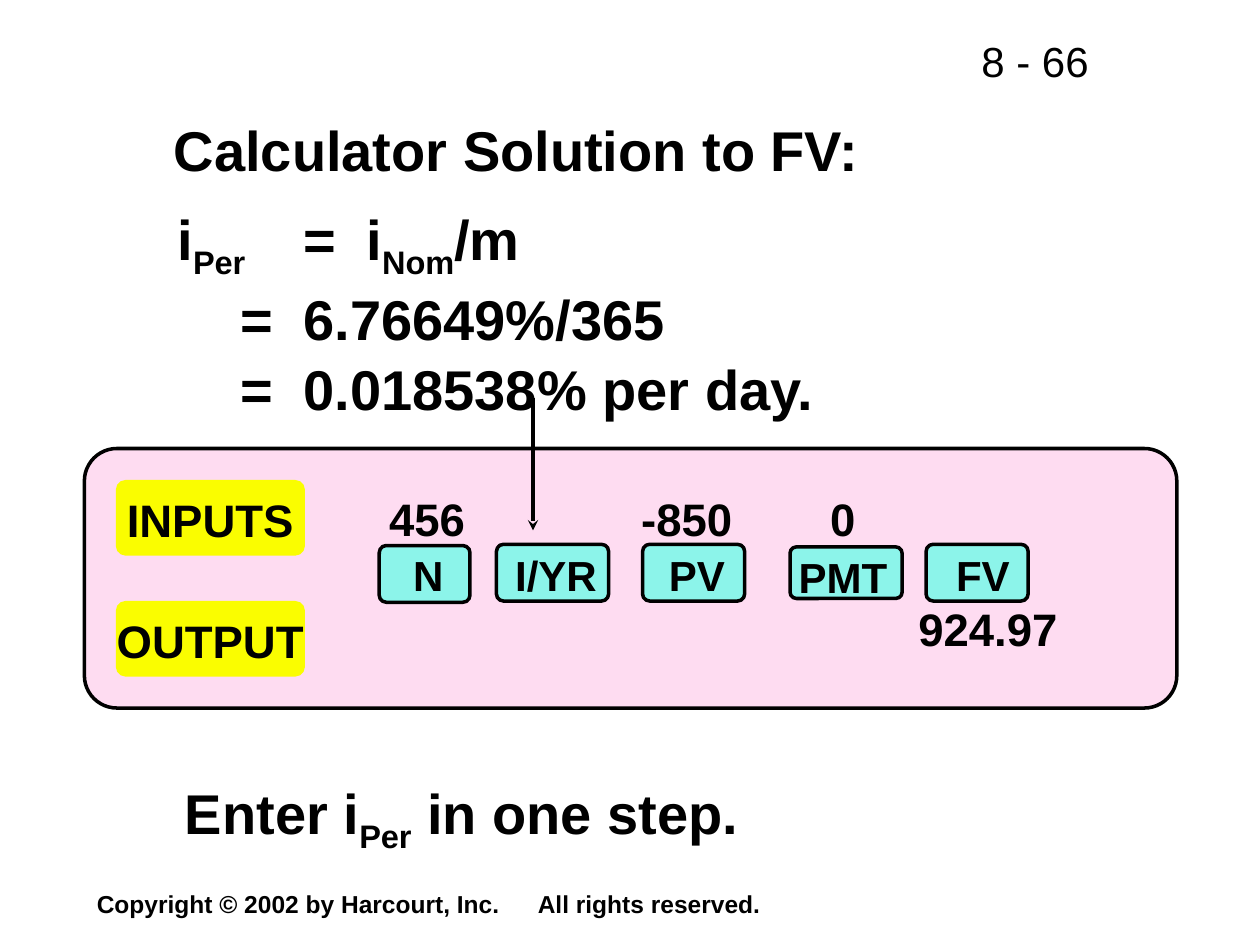
from typing import NamedTuple

from lxml import etree
from pptx import Presentation
from pptx.dml.color import RGBColor
from pptx.enum.shapes import MSO_CONNECTOR, MSO_SHAPE
from pptx.enum.text import MSO_ANCHOR, MSO_AUTO_SIZE, PP_ALIGN
from pptx.oxml.ns import qn
from pptx.util import Inches, Pt

ROUNDED = MSO_SHAPE.ROUNDED_RECTANGLE
STRAIGHT = MSO_CONNECTOR.STRAIGHT
TOP, MIDDLE = MSO_ANCHOR.TOP, MSO_ANCHOR.MIDDLE
LEFT, CENTER = PP_ALIGN.LEFT, PP_ALIGN.CENTER
NO_FIT = MSO_AUTO_SIZE.NONE

COLORS = {"ink": "000000", "panel": "FEDCF1", "tag": "FAFD00", "key": "8CF4EA"}
FRAME_FORMAT = {
    "auto_size": NO_FIT,
    "margin_left": Inches(0.1),
    "margin_right": Inches(0.1),
    "margin_top": Inches(0.05),
    "margin_bottom": Inches(0.05),
}
PARA_FORMAT = {"space_before": Pt(0), "space_after": Pt(0), "line_spacing": 1.05}
SUBSCRIPT = "-25000"


class Area(NamedTuple):
    left: float
    top: float
    width: float
    height: float


class Span(NamedTuple):
    text: str
    lowered: bool = False


class Style(NamedTuple):
    size: int
    bold: bool = True
    align: PP_ALIGN = LEFT
    anchor: MSO_ANCHOR = TOP
    wrap: bool = False
    tabs: tuple[float, ...] = ()


class Label(NamedTuple):
    area: Area
    lines: list[list[Span]]
    style: Style


class Key(NamedTuple):
    name: str
    box: Area
    label: Area


def color(name: str) -> RGBColor:
    return RGBColor.from_string(COLORS[name])


def apply_format(target, values: dict) -> None:
    for name, value in values.items():
        setattr(target, name, value)


def place(shape, area: Area) -> None:
    for name, value in area._asdict().items():
        setattr(shape, name, Inches(value))


def write(shape, lines: list[list[Span]], style: Style) -> None:
    frame = shape.text_frame
    apply_format(frame, FRAME_FORMAT)
    apply_format(frame, {"word_wrap": style.wrap, "vertical_anchor": style.anchor})
    for index, spans in enumerate(lines):
        para = frame.paragraphs[0] if index == 0 else frame.add_paragraph()
        properties = para._p.get_or_add_pPr()
        properties.set("marL", "0")
        properties.set("indent", "0")
        etree.SubElement(properties, qn("a:buNone"))
        if style.tabs:
            tab_list = etree.SubElement(properties, qn("a:tabLst"))
            for position in style.tabs:
                etree.SubElement(tab_list, qn("a:tab"), pos=str(Inches(position)), algn="l")
        apply_format(para, PARA_FORMAT)
        para.alignment = style.align
        for part in spans:
            span = para.add_run()
            span.text = part.text
            apply_format(span.font, {"name": "Arial", "size": Pt(style.size), "bold": style.bold})
            span.font.color.rgb = color("ink")
            if part.lowered:
                span._r.get_or_add_rPr().set("baseline", SUBSCRIPT)


def add_label(page, label: Label) -> None:
    box = page.shapes.add_textbox(*map(Inches, label.area))
    write(box, label.lines, label.style)


def add_rounded(page, area: Area, fill: str, outlined: bool = True):
    box = page.shapes.add_shape(ROUNDED, *map(Inches, area))
    box.adjustments[0] = 0.125
    box.shadow.inherit = False
    box.fill.solid()
    box.fill.fore_color.rgb = color(fill)
    if outlined:
        box.line.color.rgb = color("ink")
        box.line.width = Pt(2)
    else:
        box.line.fill.background()
    return box


def add_arrow(page, x: float, start: float, end: float) -> None:
    arrow = page.shapes.add_connector(STRAIGHT, Inches(x), Inches(start), Inches(x), Inches(end))
    arrow.line.color.rgb = color("ink")
    arrow.line.width = Pt(2)
    etree.SubElement(arrow.line._get_or_add_ln(), qn("a:tailEnd"), type="stealth")
    etree.SubElement(arrow._element.spPr, qn("a:effectLst"))


HEADING = Style(32, wrap=True)
EQUATION = Style(32, wrap=True, tabs=(0.81, 1.32))
VALUE = Style(26)
KEY_NAME = Style(24)
TAG = Style(26, align=CENTER, anchor=MIDDLE)

RATE_LINES = [
    [Span("i"), Span("Per", True), Span("\t=\ti"), Span("Nom", True), Span("/m")],
    [Span("\t=\t6.76649%/365")],
    [Span("\t=\t0.018538% per day.")],
]
TAGS = {"INPUTS": 3.81, "OUTPUT": 4.77}
KEYS = [
    Key("N", Area(3.01, 4.33, 0.72, 0.45), Area(3.18, 4.29, 0.44, 0.5)),
    Key("I/YR", Area(3.94, 4.32, 0.89, 0.45), Area(3.99, 4.29, 0.85, 0.5)),
    Key("PV", Area(5.1, 4.32, 0.81, 0.45), Area(5.21, 4.29, 0.65, 0.5)),
    Key("PMT", Area(6.27, 4.34, 0.89, 0.41), Area(6.24, 4.31, 0.91, 0.5)),
    Key("FV", Area(7.35, 4.32, 0.81, 0.45), Area(7.49, 4.29, 0.63, 0.5)),
]
VALUES = {
    "456": Area(2.99, 3.83, 0.8, 0.53),
    "-850": Area(4.99, 3.83, 0.92, 0.53),
    "0": Area(6.49, 3.83, 0.4, 0.53),
    "924.97": Area(7.19, 4.7, 1.3, 0.53),
}
NOTES = [
    Label(Area(7.69, 0.21, 2.2, 0.5), [[Span("8 - 66")]], Style(24, bold=False, wrap=True)),
    Label(
        Area(1.37, 6.1, 4.8, 0.71),
        [[Span("Enter i"), Span("Per", True), Span(" in one step.")]],
        HEADING,
    ),
    Label(
        Area(0.67, 7, 8.67, 0.33),
        [[Span("Copyright © 2002 by Harcourt, Inc.\tAll rights reserved.")]],
        Style(14, anchor=MIDDLE, wrap=True, tabs=(4,)),
    ),
]


def main() -> None:
    deck = Presentation()
    deck.slide_width, deck.slide_height = Inches(10), Inches(7.5)
    page = deck.slides.add_slide(deck.slide_layouts[1])

    title, body = page.shapes.title, page.placeholders[1]
    place(title, Area(1.28, 0.84, 5.9, 0.63))
    write(title, [[Span("Calculator Solution to FV:")]], HEADING)
    place(body, Area(1.31, 1.54, 5.8, 1.78))
    write(body, RATE_LINES, EQUATION)

    add_rounded(page, Area(0.67, 3.56, 8.67, 2.06), "panel")
    for name, top in TAGS.items():
        tag = add_rounded(page, Area(0.92, top, 1.5, 0.6), "tag", outlined=False)
        write(tag, [[Span(name)]], TAG)
    for key in KEYS:
        add_rounded(page, key.box, "key")
        add_label(page, Label(key.label, [[Span(key.name)]], KEY_NAME))
    for value, area in VALUES.items():
        add_label(page, Label(area, [[Span(value)]], VALUE))
    add_arrow(page, 4.23, 3.16, 4.21)
    for note in NOTES:
        add_label(page, note)

    deck.save("out.pptx")


if __name__ == "__main__":
    main()
